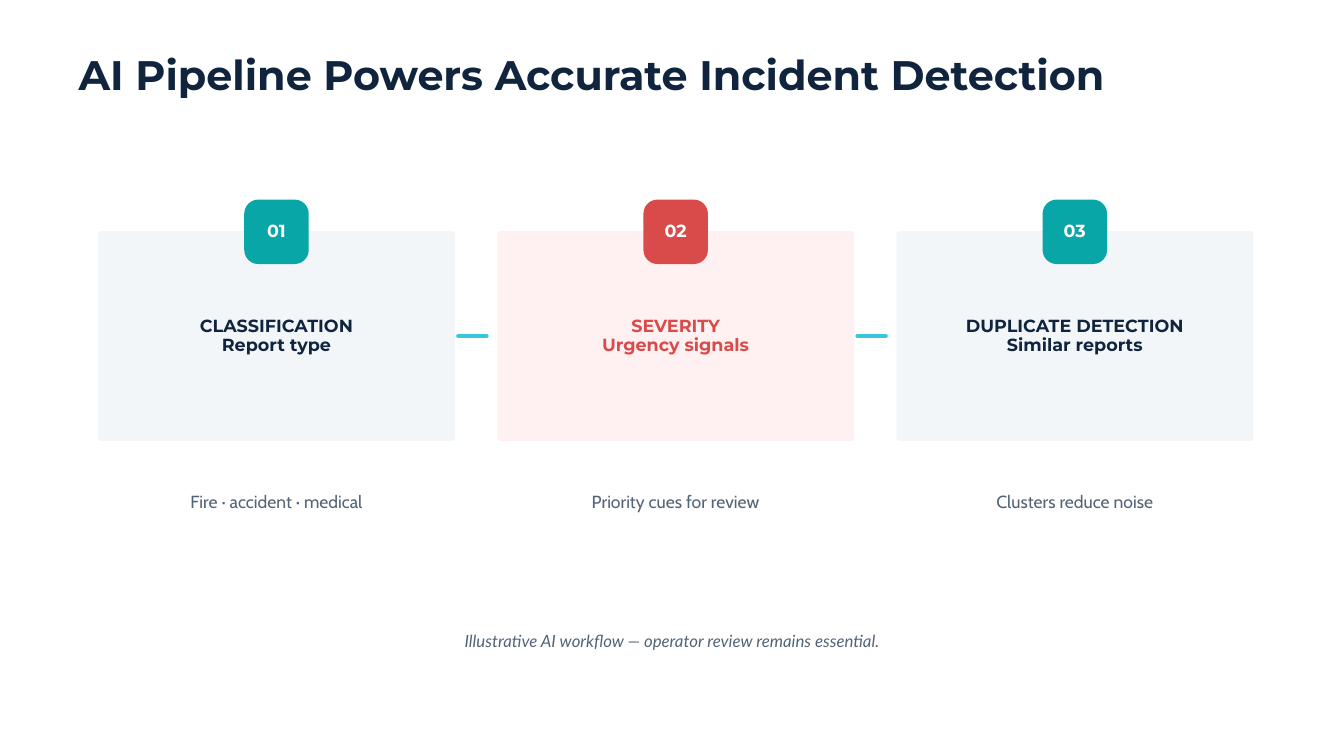
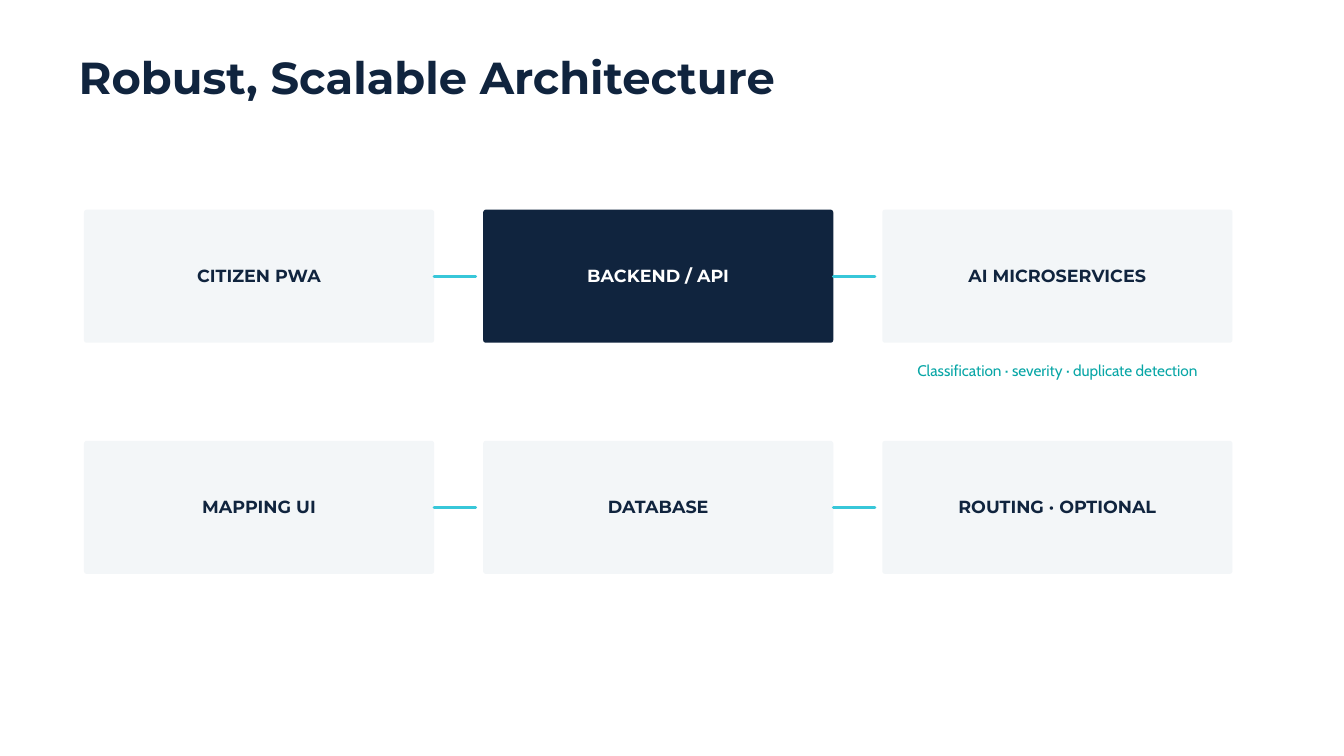
from lxml import etree
from pptx import Presentation
from pptx.dml.color import RGBColor
from pptx.enum.shapes import MSO_CONNECTOR, MSO_SHAPE
from pptx.enum.text import MSO_ANCHOR, MSO_AUTO_SIZE, PP_ALIGN
from pptx.oxml.ns import qn
from pptx.util import Inches, Pt

NAVY = "10243E"
TEAL = "08A6A6"
CYAN = "38C7D9"
RED = "D94B4B"
SLATE = "526477"
MIST = "F3F6F8"
BLUSH = "FFF1F1"
WHITE = "FFFFFF"

COLUMN_STEP = 5.94


def rgb(value):
    return RGBColor.from_string(value)


class Deck:
    heading_font = "Montserrat"
    caption_font = "Cabin"
    note_font = "Lato"
    label_size = 18.8
    label_spacing = 20.6
    label_inset = 0.06
    title_only_layout = 5

    def __init__(self):
        self.presentation = Presentation()
        self.presentation.slide_width = Inches(20)
        self.presentation.slide_height = Inches(11.25)
        self.slide = None

    def add_slide(self, title, top, height, size, spacing):
        layout = self.presentation.slide_layouts[self.title_only_layout]
        self.slide = self.presentation.slides.add_slide(layout)
        self.slide.background.fill.solid()
        self.slide.background.fill.fore_color.rgb = rgb(WHITE)
        shape = self.slide.shapes.title
        shape.left, shape.top = Inches(1.17), Inches(top)
        shape.width, shape.height = Inches(15.62), Inches(height)
        self.style_text(shape, title, self.heading_font, size, NAVY, spacing,
                        bold=True, alignment=PP_ALIGN.LEFT)

    def style_text(self, shape, text, font, size, color, spacing, bold=False, italic=False,
                   alignment=PP_ALIGN.CENTER, anchor=MSO_ANCHOR.TOP, inset=0):
        frame = shape.text_frame
        frame.text = text
        frame.word_wrap = True
        frame.auto_size = MSO_AUTO_SIZE.NONE
        frame.vertical_anchor = anchor
        frame.margin_left = frame.margin_right = Inches(inset)
        frame.margin_top = frame.margin_bottom = Inches(inset)
        for paragraph in frame.paragraphs:
            paragraph.alignment = alignment
            paragraph.line_spacing = Pt(spacing)
            for run in paragraph.runs:
                run.font.name = font
                run.font.size = Pt(size)
                run.font.bold = bold
                run.font.italic = italic
                run.font.color.rgb = rgb(color)

    def add_block(self, text, left, top, width, height, radius, fill, color):
        shape = self.slide.shapes.add_shape(
            MSO_SHAPE.ROUNDED_RECTANGLE,
            Inches(left), Inches(top), Inches(width), Inches(height))
        shape.adjustments[0] = radius / min(width, height)
        shape.shadow.inherit = False
        shape.fill.solid()
        shape.fill.fore_color.rgb = rgb(fill)
        shape.line.fill.background()
        self.style_text(shape, text, self.heading_font, self.label_size, color,
                        self.label_spacing, bold=True, anchor=MSO_ANCHOR.MIDDLE,
                        inset=self.label_inset)

    def add_text(self, text, left, top, width, height, font, size, color, spacing,
                 italic=False):
        box = self.slide.shapes.add_textbox(
            Inches(left), Inches(top), Inches(width), Inches(height))
        self.style_text(box, text, font, size, color, spacing, italic=italic)

    def add_link(self, left, y, length, weight):
        link = self.slide.shapes.add_connector(
            MSO_CONNECTOR.STRAIGHT,
            Inches(left), Inches(y), Inches(left + length), Inches(y))
        link.line.color.rgb = rgb(CYAN)
        link.line.width = Pt(weight)
        properties = link._element.spPr
        properties.find(qn("a:ln")).set("cap", "rnd")
        etree.SubElement(properties, qn("a:effectLst"))


def build_pipeline(deck):
    deck.add_slide("AI Pipeline Powers Accurate Incident Detection", 0.81, 0.67, 44.2, 47.8)
    card_left, card_top, card_width, card_height = 1.46, 3.44, 5.31, 3.12
    badge_size, caption_width = 0.96, 4.38
    stages = [
        ("CLASSIFICATION\nReport type", "Fire · accident · medical", MIST, NAVY, TEAL),
        ("SEVERITY\nUrgency signals", "Priority cues for review", BLUSH, RED, RED),
        ("DUPLICATE DETECTION\nSimilar reports", "Clusters reduce noise", MIST, NAVY, TEAL),
    ]
    for index, (label, caption, fill, color, badge_fill) in enumerate(stages):
        left = card_left + index * COLUMN_STEP
        center = left + card_width / 2
        if index:
            deck.add_link(left - 0.58, card_top + card_height / 2, 0.42, 4.5)
        deck.add_block(label, left, card_top, card_width, card_height, 0.04, fill, color)
        deck.add_block(f"{index + 1:02d}", center - badge_size / 2, card_top - 0.47,
                       badge_size, badge_size, 0.21, badge_fill, WHITE)
        deck.add_text(caption, center - caption_width / 2, 7.26, caption_width, 0.34,
                      deck.caption_font, 18.8, SLATE, 26.2)
    deck.add_text("Illustrative AI workflow — operator review remains essential.",
                  5.21, 9.33, 9.58, 0.34, deck.note_font, 18, SLATE, 25.2, italic=True)


def build_architecture(deck):
    deck.add_slide("Robust, Scalable Architecture", 0.82, 0.73, 48, 51.8)
    grid_left, grid_top, row_step = 1.25, 3.12, 3.44
    box_width, box_height = 5.21, 1.98
    components = [
        ["CITIZEN PWA", "BACKEND / API", "AI MICROSERVICES"],
        ["MAPPING UI", "DATABASE", "ROUTING · OPTIONAL"],
    ]
    for row, labels in enumerate(components):
        top = grid_top + row * row_step
        for column, label in enumerate(labels):
            left = grid_left + column * COLUMN_STEP
            fill, color = (NAVY, WHITE) if label == "BACKEND / API" else (MIST, NAVY)
            deck.add_block(label, left, top, box_width, box_height, 0.04, fill, color)
            if column < len(labels) - 1:
                deck.add_link(left + box_width, top + box_height / 2, 0.62, 3)
    deck.add_text("Classification · severity · duplicate detection",
                  grid_left + 2 * COLUMN_STEP, 5.33, box_width, 0.3,
                  deck.caption_font, 16.5, TEAL, 23.1)


def main():
    deck = Deck()
    build_pipeline(deck)
    build_architecture(deck)
    deck.presentation.save("out.pptx")


if __name__ == "__main__":
    main()
